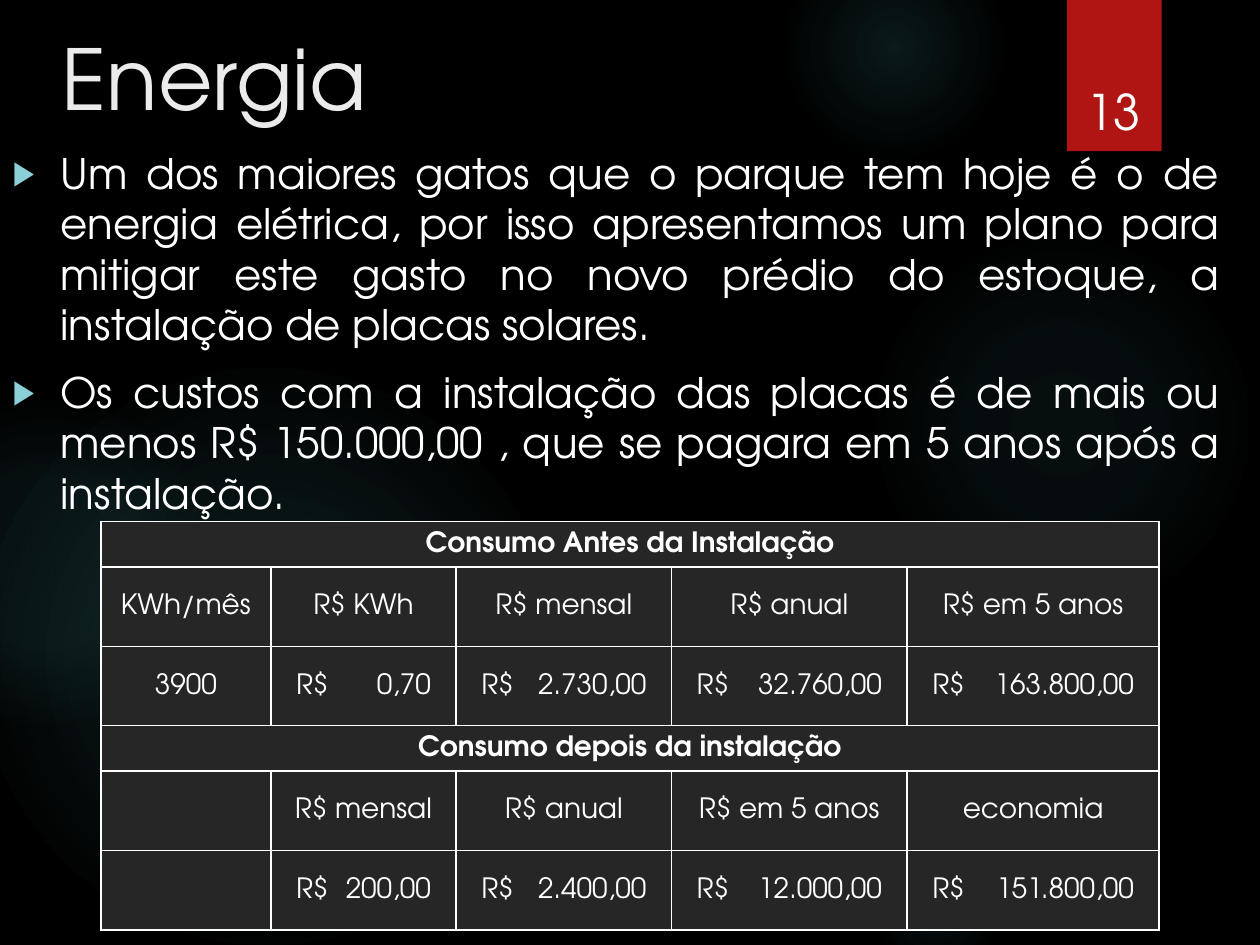
from lxml import etree
from pptx import Presentation
from pptx.dml.color import RGBColor
from pptx.enum.shapes import MSO_SHAPE as Shape
from pptx.enum.text import MSO_ANCHOR as Anchor, MSO_AUTO_SIZE as AutoSize, PP_ALIGN as Align
from pptx.oxml import parse_xml
from pptx.oxml.ns import nsdecls, qn
from pptx.util import Inches, Pt

BLACK = RGBColor(0x00, 0x00, 0x00)
WHITE = RGBColor(0xFF, 0xFF, 0xFF)
TITLE_GREY = RGBColor(0xEB, 0xEB, 0xEB)
CELL_GREY = RGBColor(0x26, 0x26, 0x26)
RED = RGBColor(0xB0, 0x15, 0x13)
TEAL = RGBColor(0x50, 0xB9, 0xC1)
BULLET_TEAL = RGBColor(0x8A, 0xD0, 0xD6)
FONT = "TeX Gyre Adventor"

# column, row, diameter, then (stop, opacity) pairs in percent
GLOWS = [
    (68.9, 18.3, 30.8, [(0, 7), (36, 6), (69, 0)]),
    (62.2, -5, 17.5, [(0, 14), (36, 7), (73, 0)]),
    (68.9, 66.7, 10.8, [(0, 9), (36, 5), (66, 0)]),
    (-1.7, 29.2, 45.8, [(0, 11), (36, 10), (75, 0)]),
    (-9.2, 31.7, 25.8, [(0, 8), (36, 8), (72, 0)]),
]
POINTS = [
    "Um dos maiores gatos que o parque tem hoje é o de energia elétrica, por isso "
    "apresentamos um plano para mitigar este gasto no novo prédio do estoque, a "
    "instalação de placas solares.",
    "Os custos com a instalação das placas é de mais ou menos R$ 150.000,00 , que se "
    "pagara em 5 anos após a instalação.",
]
# A row with one entry is a heading across the table; a tab parts currency and amount.
CONSUMPTION = [
    ["Consumo Antes da Instalação"],
    ["KWh/mês", "R$ KWh", "R$ mensal", "R$ anual", "R$ em 5 anos"],
    ["3900", "R$\t0,70", "R$\t2.730,00", "R$\t32.760,00", "R$\t163.800,00"],
    ["Consumo depois da instalação"],
    ["", "R$ mensal", "R$ anual", "R$ em 5 anos", "economia"],
    ["", "R$\t200,00", "R$\t2.400,00", "R$\t12.000,00", "R$\t151.800,00"],
]
COLUMN_WIDTHS = [13.5, 14.7, 17.1, 18.7, 20]
HEADING_HEIGHT, ROW_HEIGHT = 3.6, 6.3


def grid(*units):
    """Turn units of a 100 by 75 grid into lengths."""
    return [Inches(unit / 10) for unit in units]


class SlideBuilder:
    def __init__(self, slide):
        self.slide = slide
        slide.background.fill.solid()
        slide.background.fill.fore_color.rgb = BLACK

    def style(self, paragraph, size, color=WHITE, align=Align.LEFT, bold=False):
        paragraph.alignment = align
        font = paragraph.font
        font.name, font.size, font.bold = FONT, Pt(size), bold
        font.color.rgb = color

    def plain_shape(self, kind, *place):
        shape = self.slide.shapes.add_shape(kind, *grid(*place))
        shape.shadow.inherit = False
        shape.line.fill.background()
        return shape

    def glow(self, column, row, diameter, stops):
        circle = self.plain_shape(Shape.OVAL, column, row, diameter, diameter)
        stop_xml = "".join(
            f'<a:gs pos="{stop * 1000}"><a:srgbClr val="{TEAL}">'
            f'<a:alpha val="{opacity * 1000}"/></a:srgbClr></a:gs>'
            for stop, opacity in stops)
        gradient = parse_xml(
            f'<a:gradFill {nsdecls("a")}><a:gsLst>{stop_xml}</a:gsLst><a:path path="circle">'
            '<a:fillToRect l="50000" t="50000" r="50000" b="50000"/></a:path></a:gradFill>')
        circle._element.spPr.find(qn("a:prstGeom")).addnext(gradient)

    def ribbon(self, *place):
        band = self.plain_shape(Shape.RECTANGLE, *place)
        band.fill.solid()
        band.fill.fore_color.rgb = RED

    def page_number(self, number, *place):
        frame = self.slide.shapes.add_textbox(*grid(*place)).text_frame
        frame.word_wrap = True
        frame.vertical_anchor = Anchor.BOTTOM
        frame.text = number
        self.style(frame.paragraphs[0], 28, align=Align.CENTER)

    def fill_placeholder(self, placeholder, lines, *place):
        """Move a placeholder above the backdrop and return its paragraphs."""
        placeholder.left, placeholder.top, placeholder.width, placeholder.height = grid(*place)
        self.slide.shapes._spTree.append(placeholder._element)
        frame = placeholder.text_frame
        frame.text = "\n".join(lines)
        frame.auto_size = AutoSize.NONE
        frame.vertical_anchor = Anchor.TOP
        return frame.paragraphs

    def title(self, text, *place):
        for paragraph in self.fill_placeholder(self.slide.shapes.title, [text], *place):
            self.style(paragraph, 48, TITLE_GREY)

    def bullets(self, lines, *place):
        paragraphs = self.fill_placeholder(self.slide.placeholders[1], lines, *place)
        for index, paragraph in enumerate(paragraphs):
            paragraph.space_before = Pt(10 if index else 0)
            properties = paragraph._p.get_or_add_pPr()
            properties.set("marL", str(Inches(0.38)))
            properties.set("indent", str(-Inches(0.38)))
            color = etree.SubElement(properties, qn("a:buClr"))
            etree.SubElement(color, qn("a:srgbClr"), val=str(BULLET_TEAL))
            etree.SubElement(properties, qn("a:buSzPct"), val="80000")
            etree.SubElement(properties, qn("a:buChar"), char="▶")
            self.style(paragraph, 24, align=Align.JUSTIFY)

    def cell(self, cell, text, width, bold):
        cell.vertical_anchor = Anchor.MIDDLE
        cell.margin_left = cell.margin_right = cell.margin_top = Inches(0.01)
        cell.margin_bottom = 0
        properties = cell._tc.get_or_add_tcPr()
        for side in ("lnL", "lnR", "lnT", "lnB"):
            properties.append(parse_xml(
                f'<a:{side} {nsdecls("a")} w="{Pt(1)}"><a:solidFill>'
                f'<a:srgbClr val="{WHITE}"/></a:solidFill></a:{side}>'))
        cell.fill.solid()
        cell.fill.fore_color.rgb = CELL_GREY
        cell.text = text
        paragraph, align = cell.text_frame.paragraphs[0], Align.CENTER
        if "\t" in text:
            align = Align.LEFT
            cell.margin_left = Inches(0.2)
            tabs = etree.SubElement(paragraph._p.get_or_add_pPr(), qn("a:tabLst"))
            amount_edge = Inches(width / 10 - 0.4)
            etree.SubElement(tabs, qn("a:tab"), pos=str(amount_edge), algn="r")
        self.style(paragraph, 16, align=align, bold=bold)

    def table(self, rows, widths, column, row):
        heights = [HEADING_HEIGHT if len(entries) == 1 else ROW_HEIGHT for entries in rows]
        place = grid(column, row, sum(widths), sum(heights))
        table = self.slide.shapes.add_table(len(rows), len(widths), *place).table
        table.first_row = table.horz_banding = False
        for table_column, width in zip(table.columns, grid(*widths)):
            table_column.width = width
        for r, (entries, height) in enumerate(zip(rows, grid(*heights))):
            table.rows[r].height = height
            heading = len(entries) == 1
            texts = entries + [""] * (len(widths) - len(entries))
            for c, (text, width) in enumerate(zip(texts, widths)):
                self.cell(table.cell(r, c), text, width, heading)
            if heading:
                table.cell(r, 0).merge(table.cell(r, len(widths) - 1))


def main():
    deck = Presentation()
    deck.slide_width, deck.slide_height = grid(100, 75)
    energy = SlideBuilder(deck.slides.add_slide(deck.slide_layouts[1]))
    for glow in GLOWS:
        energy.glow(*glow)
    energy.ribbon(84.7, 0, 7.5, 12)
    energy.title("Energia", 3.9, 1.6, 77.2, 15.3)
    energy.bullets(POINTS, 0, 11.2, 97.8, 54.6)
    energy.page_number("13", 84.9, 3.2, 6.9, 8.4)
    energy.table(CONSUMPTION, COLUMN_WIDTHS, 8, 41.4)
    deck.save("out.pptx")


if __name__ == "__main__":
    main()
